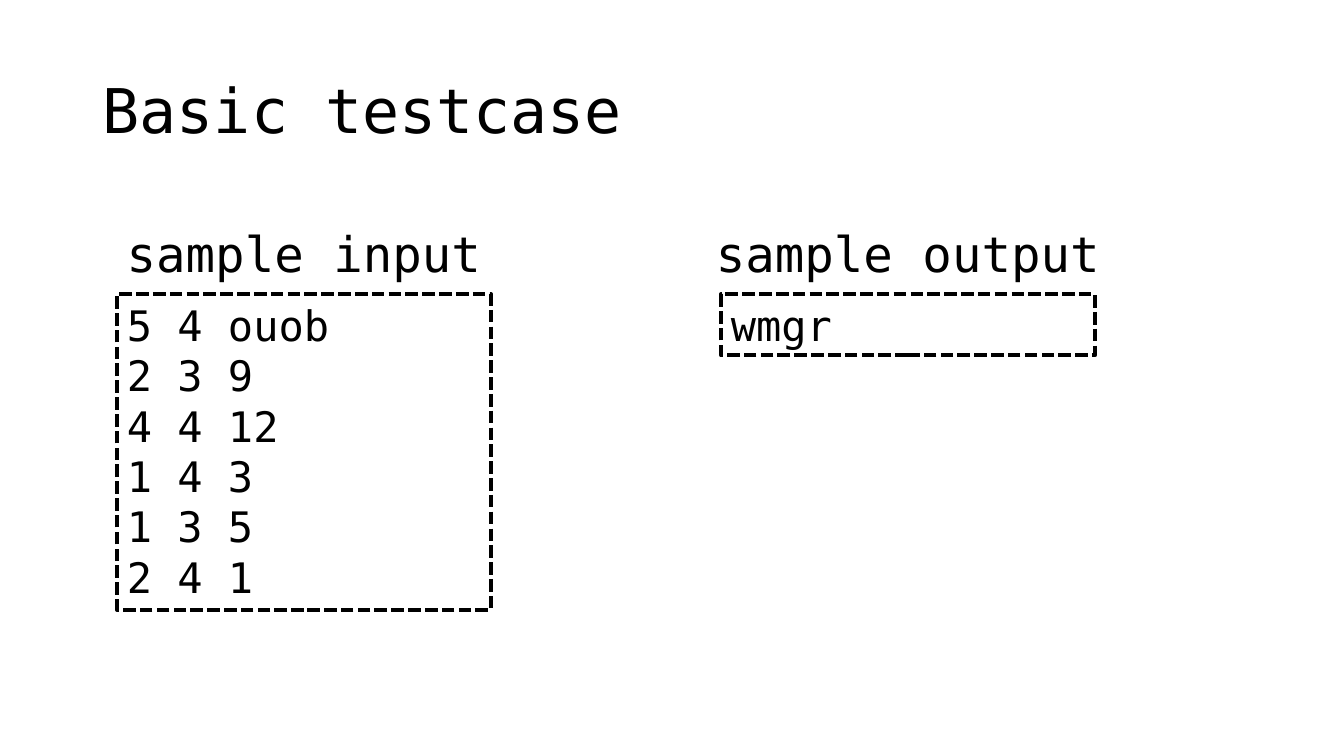
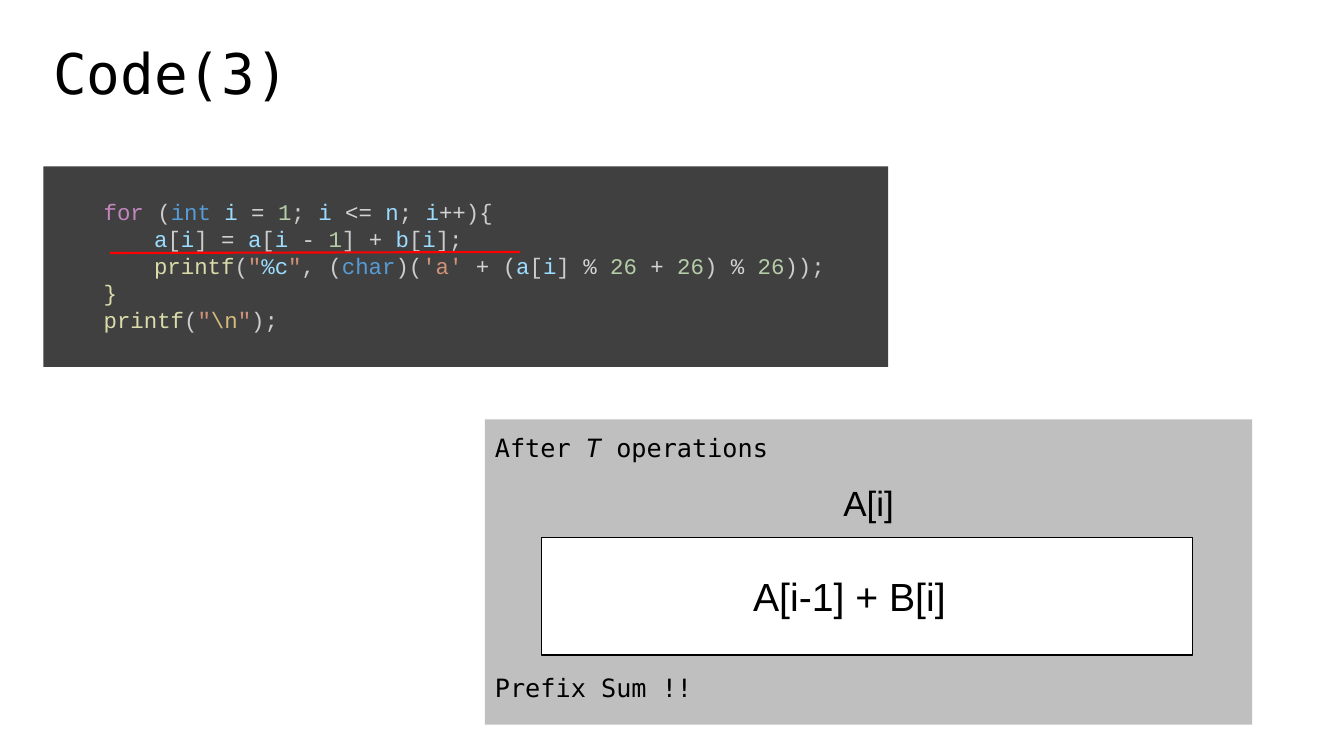
import pptx
import pptx.util
import pptx.dml.color
import pptx.enum.dml
import pptx.enum.shapes
import pptx.enum.text
import lxml.etree

Inches = pptx.util.Inches
Align = pptx.enum.text.PP_ALIGN
Anchor = pptx.enum.text.MSO_ANCHOR

MONO, SANS, CODE = "DejaVu Sans Mono", "Arial", "Courier New"
HUES = {
    "ink": "000000", "white": "FFFFFF", "grey": "BFBFBF", "dark": "404040",
    "red": "FF0000", "flow": "C586C0", "mark": "CCCCCC", "type": "569CD6",
    "name": "9CDCFE", "op": "D4D4D4", "num": "B5CEA8", "func": "DCDCAA",
    "str": "CE9178", "esc": "D7BA7D",
}

SAMPLES = [
    ("sample input", ["5 4 ouob", "2 3 9", "4 4 12", "1 4 3", "1 3 5", "2 4 1"]),
    ("sample output", ["wmgr"]),
]

LISTING = [
    (1, [("flow", "for"), ("mark", " ("), ("type", "int "), ("name", "i "),
         ("op", "= "), ("num", "1"), ("mark", "; "), ("name", "i "),
         ("op", "<= "), ("name", "n"), ("mark", "; "), ("name", "i"),
         ("op", "++"), ("mark", "){")]),
    (2, [("name", "a"), ("mark", "["), ("name", "i"), ("mark", "] "),
         ("op", "= "), ("name", "a"), ("mark", "["), ("name", "i "),
         ("op", "- "), ("num", "1"), ("mark", "] "), ("op", "+ "),
         ("name", "b"), ("mark", "["), ("name", "i"), ("mark", "];")]),
    (2, [("func", "printf"), ("mark", "("), ("str", '"'), ("name", "%c"),
         ("str", '"'), ("mark", ", ("), ("type", "char"), ("mark", ")("),
         ("str", "'a' "), ("op", "+"), ("mark", " ("), ("name", "a"),
         ("mark", "["), ("name", "i"), ("mark", "] "), ("op", "% "),
         ("num", "26 "), ("op", "+ "), ("num", "26"), ("mark", ") "),
         ("op", "% "), ("num", "26"), ("mark", "));")]),
    (1, [("func", "}")]),
    (1, [("func", "printf"), ("mark", "("), ("str", '"'), ("esc", "\\n"),
         ("str", '"'), ("mark", ");")]),
]

LABELS = [
    ((4.81, 4.73, 7.61, 0.52), ["A[i]"], 25, SANS, Align.CENTER),
    ((5.71, 5.63, 5.43, 0.57), ["A[i-1] + B[i]"], 28, SANS, Align.CENTER),
    ((4.81, 4.24, 6.38, 0.4), ["After ", "T", " operations"], 18, MONO, Align.LEFT),
    ((4.81, 6.62, 6.38, 0.4), ["Prefix Sum !!"], 18, MONO, Align.LEFT),
]


def rgb(hue):
    return pptx.dml.color.RGBColor.from_string(HUES[hue])


def add_para(frame, first, align=Align.LEFT):
    para = frame.paragraphs[0] if first else frame.add_paragraph()
    para.alignment = align
    return para


def add_run(para, text, size, font=MONO, hue="ink", slant=False):
    run = para.add_run()
    run.text = text
    run.font.size = pptx.util.Pt(size)
    run.font.name = font
    run.font.italic = slant
    run.font.color.rgb = rgb(hue)


def add_text(shapes, box, runs, size, font=MONO, align=Align.LEFT):
    frame = shapes.add_textbox(*map(Inches, box)).text_frame
    frame.word_wrap = True
    para = add_para(frame, True, align)
    for text in runs:
        add_run(para, text, size, font, slant=text == "T")
    return frame


def add_title(slide, box, text, size):
    frame = add_text(slide.shapes, box, [text], size)
    frame.vertical_anchor = Anchor.MIDDLE
    frame.paragraphs[0].line_spacing = 0.9


def add_rect(shapes, box, fill=None, width=0):
    kind = pptx.enum.shapes.MSO_SHAPE.RECTANGLE
    rect = shapes.add_shape(kind, *map(Inches, box))
    rect.shadow.inherit = False
    if fill:
        rect.fill.solid()
        rect.fill.fore_color.rgb = rgb(fill)
    else:
        rect.fill.background()
    if width:
        rect.line.color.rgb = rgb("ink")
        rect.line.width = pptx.util.Pt(width)
    else:
        rect.line.fill.background()
    rect.text_frame.word_wrap = True
    rect.text_frame.vertical_anchor = Anchor.TOP
    return rect


def add_line(shapes, start, end, hue, width):
    kind = pptx.enum.shapes.MSO_CONNECTOR.STRAIGHT
    line = shapes.add_connector(kind, *map(Inches, start + end))
    line.line.color.rgb = rgb(hue)
    line.line.width = pptx.util.Pt(width)
    props = line._element.spPr
    lxml.etree.SubElement(props, pptx.oxml.ns.qn("a:effectLst"))


def build_test(slide):
    add_title(slide, (0.92, 0.4, 11.5, 1.45), "Basic testcase", 44)
    for num, (head, rows) in enumerate(SAMPLES):
        left = 1.16 + num * 5.99
        box = (left, 2.92, 3.71, 0.1 + 0.505 * len(rows))
        rect = add_rect(slide.shapes, box, width=3)
        rect.line.dash_style = pptx.enum.dml.MSO_LINE.SQUARE_DOT
        for row, text in enumerate(rows):
            add_run(add_para(rect.text_frame, row == 0), text, 30)
        add_text(slide.shapes, (left - 0.21, 2.17, 4.13, 0.69), [head], 35,
                 align=Align.CENTER)


def build_code(slide):
    panel = slide.shapes.add_group_shape().shapes
    add_rect(panel, (4.81, 4.16, 7.61, 3.03), "grey")
    add_rect(panel, (5.37, 5.33, 6.46, 1.17), "white", 1)
    for label in LABELS:
        add_text(panel, *label)
    add_title(slide, (0.43, 0.03, 12.9, 1.45), "Code(3)", 40)
    frame = add_rect(slide.shapes, (0.43, 1.65, 8.38, 1.99), "dark").text_frame
    frame.margin_top = Inches(0.32)
    for row, (level, parts) in enumerate(LISTING):
        para = add_para(frame, row == 0)
        props = para._p.get_or_add_pPr()
        props.set("marL", str(Inches(0.5 * level)))
        props.set("indent", "0")
        para.level = level
        for hue, text in parts:
            add_run(para, text, 16, CODE, hue)
    add_line(slide.shapes, (1.09, 2.51), (5.16, 2.5), "red", 1.5)


def main():
    deck = pptx.Presentation()
    deck.slide_width, deck.slide_height = Inches(13.33), Inches(7.5)
    for build in (build_test, build_code):
        build(deck.slides.add_slide(deck.slide_layouts[6]))
    deck.save("out.pptx")


if __name__ == "__main__":
    main()
